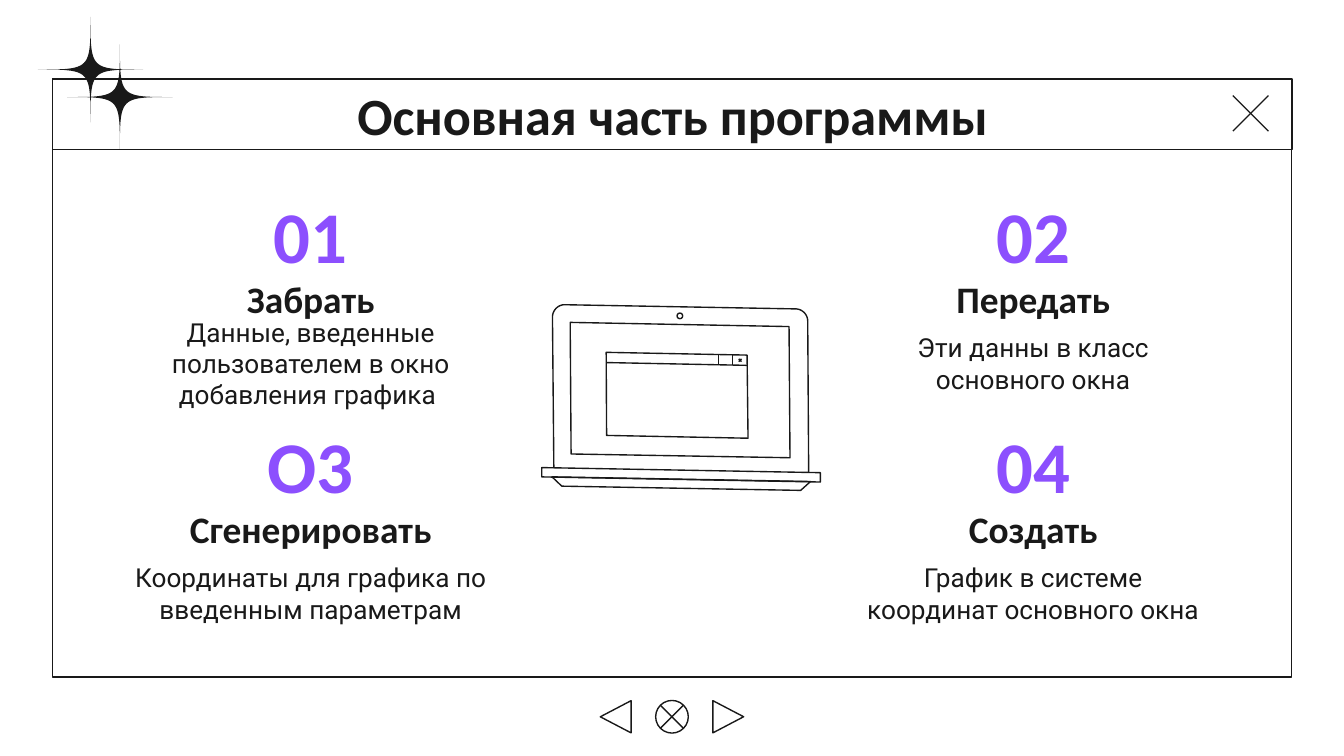
import pptx
import pptx.util
import pptx.dml.color
import pptx.enum.shapes
import pptx.enum.text
import pptx.oxml.ns
import lxml.etree

Pt = pptx.util.Pt
KIND = pptx.enum.shapes.MSO_SHAPE
INK = {"dark": "191919", "accent": "8C4FFE"}
THIN = 0.75

# Column centres, row tops and the four steps
COLS = (166.5, 553.5)
ROWS = (106.5, 229.75)
STEPS = [
    ("01", "Забрать", "Данные, введенные пользователем в окно добавления графика ", 217),
    ("02", "Передать", "Эти данны в класс основного окна", 186),
    ("O3", "Сгенерировать", "Координаты для графика по введенным параметрам", 222),
    ("04", "Создать", "График в системе координат основного окна", 204),
]


def color(name):
    return pptx.dml.color.RGBColor.from_string(INK[name])


def style(shape, fill=None):
    """Solid without a line, or outline without a fill."""
    shape.shadow.inherit = False
    if fill:
        shape.fill.solid()
        shape.fill.fore_color.rgb = color(fill)
        shape.line.fill.background()
    else:
        shape.fill.background()
        shape.line.color.rgb = color("dark")
        shape.line.width = Pt(THIN)


def outline(slide, kind, x, y, w, h, turn=0):
    shape = slide.shapes.add_shape(kind, Pt(x), Pt(y), Pt(w), Pt(h))
    shape.rotation = turn
    style(shape)
    return shape


def stroke(slide, x1, y1, x2, y2):
    line = slide.shapes.add_connector(
        pptx.enum.shapes.MSO_CONNECTOR.STRAIGHT, Pt(x1), Pt(y1), Pt(x2), Pt(y2))
    line.line.color.rgb = color("dark")
    line.line.width = Pt(THIN)
    lxml.etree.SubElement(line._element.spPr, pptx.oxml.ns.qn("a:effectLst"))


def curve(a, b, c, d, steps=24):
    """Points along a cubic Bezier curve."""
    spots = []
    for i in range(steps + 1):
        t = i / steps
        u = 1 - t
        parts = (u ** 3, 3 * u * u * t, 3 * u * t * t, t ** 3)
        spots.append(tuple(sum(k * p[n] for k, p in zip(parts, (a, b, c, d)))
                           for n in (0, 1)))
    return spots


def draw(slide, spots, close=True, fill=None):
    spots = [(Pt(x), Pt(y)) for x, y in spots]
    pen = slide.shapes.build_freeform(*spots[0], scale=1.0)
    pen.add_line_segments(spots[1:], close=close)
    style(pen.convert_to_shape(), fill)


def star(slide, x, y, r):
    tips = [(x, y - r), (x - r, y), (x, y + r), (x + r, y)]
    mid = (x, y)
    spots = []
    for i, tip in enumerate(tips):
        spots += curve(tip, mid, mid, tips[(i + 1) % 4])[:-1]
    draw(slide, spots, fill="dark")


def write(shape, text, size, face="Calibri", bold=True, ink="dark"):
    frame = shape.text_frame
    frame.word_wrap = True
    frame.vertical_anchor = pptx.enum.text.MSO_ANCHOR.MIDDLE
    frame.margin_left = frame.margin_right = Pt(7.2)
    frame.margin_top = frame.margin_bottom = Pt(7.2)
    para = frame.paragraphs[0]
    para.text = text
    para.alignment = pptx.enum.text.PP_ALIGN.CENTER
    para.font.name = face
    para.font.size = Pt(size)
    para.font.bold = bold
    para.font.color.rgb = color(ink)


def label(slide, mid, y, w, h, text, size, **look):
    box = slide.shapes.add_textbox(Pt(mid - w / 2), Pt(y), Pt(w), Pt(h))
    write(box, text, size, **look)


def step(slide, mid, top, mark, head, body, wide):
    label(slide, mid, top + 39.75, 217, 27.5, head, 20)
    label(slide, mid, top, 68, 38, mark, 39, ink="accent")
    label(slide, mid, top + 69, wide, 38, body, 14, face="Roboto", bold=False)


def window(slide):
    # Close mark, frame, sparkles and title bar
    x, y, size = 660.5, 51.25, 19
    stroke(slide, x, y, x + size, y + size)
    stroke(slide, x, y + size, x + size, y)
    outline(slide, KIND.RECTANGLE, 28, 42.25, 664, 320.5)
    star(slide, 48.5, 37.25, 28.25)
    star(slide, 64.25, 52, 28.25)
    bar = outline(slide, KIND.RECTANGLE, 28.25, 42.25, 664, 38)
    write(bar, "Основная часть программы", 28)


def buttons(slide):
    outline(slide, KIND.ISOSCELES_TRIANGLE, 381.5, 375.75, 17.25, 16.5, 90)
    outline(slide, KIND.ISOSCELES_TRIANGLE, 321.25, 375.75, 17.25, 16.5, 270)
    outline(slide, KIND.FLOWCHART_SUMMING_JUNCTION, 351.25, 375.25, 17.5, 17.5)


def laptop(slide):
    # Lid with rounded corners
    left = curve((296, 170), (296, 166.25), (299, 163.25), (302.5, 163.25))
    right = curve((426.25, 165.5), (429.75, 165.5), (432.75, 168.5), (432.75, 172))
    draw(slide, [(296.75, 250.75)] + left + right + [(433.25, 253.25)], close=False)
    # Foot, base, screen and open window
    for spots in (
        [(429, 262.75), (301, 260.5), (295.75, 255.5), (434.25, 258)],
        [(290.25, 250.5), (439.5, 253.25), (439.5, 258.25), (290.25, 255.5)],
        [(305.5, 172.75), (422.75, 175), (423.25, 245.25), (306, 243.25)],
        [(324.75, 188.75), (400.25, 190.25), (400.75, 234.75), (325, 233.25)],
    ):
        draw(slide, spots)
    outline(slide, KIND.OVAL, 362.75, 167.75, 3, 3)
    # Window bar, button dividers and small cross
    for ends in (
        (324.75, 194.25, 400.5, 195.75),
        (392.5, 190.25, 392.5, 195.5),
        (385, 190, 385, 195.25),
        (397.25, 192.25, 395.75, 193.75),
        (397.25, 193.75, 395.75, 192.25),
    ):
        stroke(slide, *ends)


def main():
    deck = pptx.Presentation()
    deck.slide_width, deck.slide_height = Pt(720), Pt(405)
    slide = deck.slides.add_slide(deck.slide_layouts[6])
    window(slide)
    for i, item in enumerate(STEPS):
        step(slide, COLS[i % 2], ROWS[i // 2], *item)
    buttons(slide)
    laptop(slide)
    deck.save("out.pptx")


if __name__ == "__main__":
    main()
